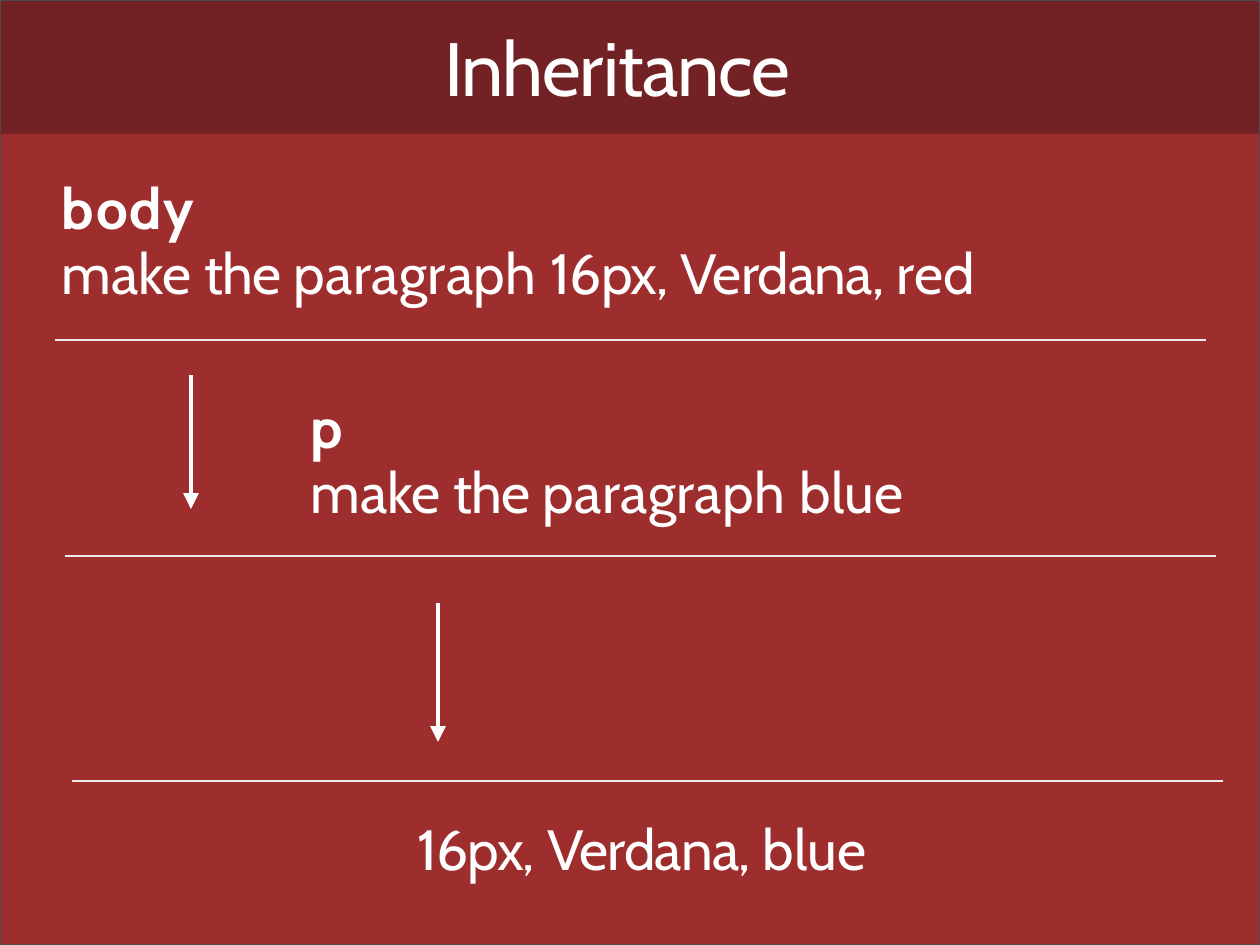
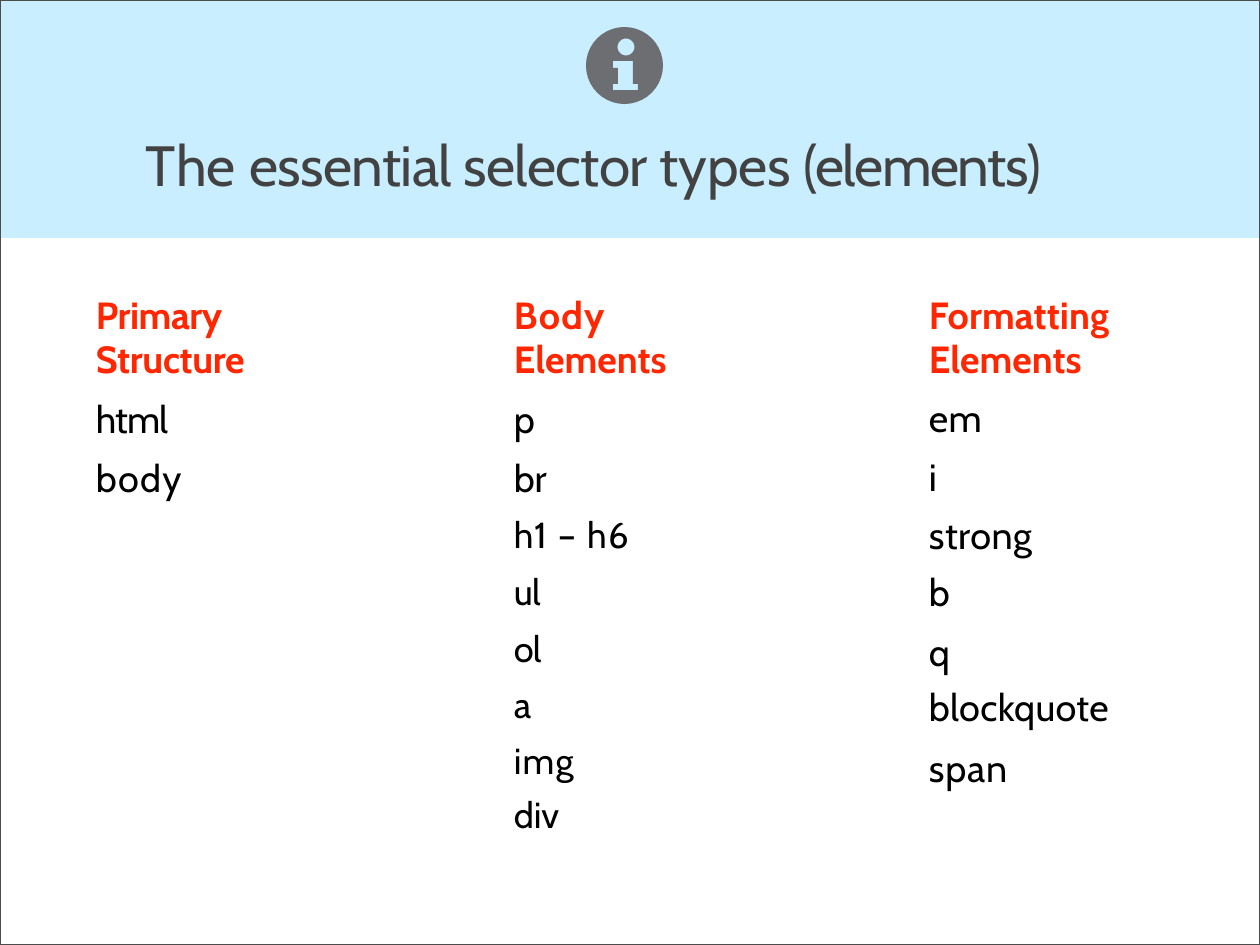
from dataclasses import dataclass
from math import cos, pi, sin

from lxml import etree
from pptx import Presentation
from pptx import util as u
from pptx.dml.color import RGBColor
from pptx.enum import shapes, text
from pptx.oxml import ns

PX = 8064  # EMU per px
WIDE, HIGH = 1260, 945
PLAIN = "{2D5ABB26-0587-4C30-8999-92F81FD0307C}"  # table style without grid


@dataclass(frozen=True)
class Theme:
    font: str = "Cabin"
    white: str = "FFFFFF"
    black: str = "000000"
    red: str = "9E2E2E"
    wine: str = "722224"
    sky: str = "76D6FF"
    slate: str = "424242"
    icon: str = "6D6E71"
    rule: str = "EBEBEB"
    frame: str = "4C4C4C"
    head: str = "FF2600"
    huge: int = 48
    large: int = 36
    cell: int = 24
    small: int = 23


THEME = Theme()


@dataclass(frozen=True)
class Item:
    """One table cell: top pad in px, letter spacing in points."""
    text: str
    pad: int = 7
    spc: float = 0
    size: int = THEME.cell


def px(*vals):
    return [u.Emu(round(v * PX)) for v in vals]


def put(obj, **vals):
    for name, val in vals.items():
        setattr(obj, name, val)


def ring(x, y, r, count=40):
    """Points of a circle."""
    turns = [2 * pi * i / count for i in range(count)]
    return [(x + r * cos(t), y + r * sin(t)) for t in turns]


class Deck:
    def __init__(self, theme):
        self.theme = theme
        self.prs = Presentation()
        wide, high = px(WIDE, HIGH)
        put(self.prs, slide_width=wide, slide_height=high)

    def start(self):
        self.slide = self.prs.slides.add_slide(self.prs.slide_layouts[5])
        self.shapes = self.slide.shapes

    def paint(self, shape, fill=None, line=None):
        shape.shadow.inherit = False
        for part, color in ((shape.fill, fill), (shape.line.fill, line)):
            if color:
                part.solid()
                part.fore_color.rgb = RGBColor.from_string(color)
            else:
                part.background()
        if line:
            shape.line.width = u.Pt(1)

    def rect(self, x, y, w, h, fill=None, line=None, alpha=None):
        box = self.shapes.add_shape(shapes.MSO_SHAPE.RECTANGLE, *px(x, y, w, h))
        self.paint(box, fill, line)
        if alpha:
            tone = box._element.spPr.find(".//" + ns.qn("a:srgbClr"))
            etree.SubElement(tone, ns.qn("a:alpha"), val=str(alpha * 1000))

    def frame(self):
        self.rect(0, 0, WIDE, HIGH, line=self.theme.frame)

    def fill(self, body, paras, color, size, lead=None, bold=False):
        """Fill a text frame with paragraphs of (text, spacing) runs.

        The first of several paragraphs is a bold heading.
        """
        for i, runs in enumerate(paras):
            para = body.paragraphs[0] if i == 0 else body.add_paragraph()
            para.alignment = text.PP_ALIGN.LEFT
            if lead:
                para.line_spacing = u.Pt(lead)
            for words, spc in runs:
                run = para.add_run()
                run.text = words
                put(run.font, name=self.theme.font, size=u.Pt(size),
                    bold=bold or (i == 0 and len(paras) > 1))
                run.font.color.rgb = RGBColor.from_string(color)
                run._r.get_or_add_rPr().set("spc", str(round(spc * 100)))

    def pour(self, box, paras, color, size, lead=None):
        body = box.text_frame
        put(body, margin_left=0, margin_top=0, margin_right=0, margin_bottom=0,
            word_wrap=True, auto_size=text.MSO_AUTO_SIZE.NONE,
            vertical_anchor=text.MSO_ANCHOR.TOP)
        self.fill(body, paras, color, size, lead)

    def label(self, x, y, w, h, paras, lead=None):
        box = self.shapes.add_textbox(*px(x, y, w, h))
        self.pour(box, paras, self.theme.white, self.theme.large, lead)

    def title(self, x, y, w, h, runs, color, size):
        box = self.shapes.title
        left, top, width, height = px(x, y, w, h)
        put(box, left=left, top=top, width=width, height=height)
        self.pour(box, [runs], color, size)
        self.shapes._spTree.append(box._element)  # above the band

    def line(self, x1, y1, x2, y2, color, width, arrow=False):
        link = self.shapes.add_connector(
            shapes.MSO_CONNECTOR.STRAIGHT, *px(x1, y1, x2, y2))
        link.line.color.rgb = RGBColor.from_string(color)
        link.line.width = u.Pt(width)
        props = link._element.spPr
        if arrow:
            etree.SubElement(props.find(ns.qn("a:ln")), ns.qn("a:tailEnd"),
                             type="triangle", w="lg", len="lg")
        etree.SubElement(props, ns.qn("a:effectLst"))

    def shape(self, rings, fill):
        """Draw closed outlines as one shape; inner ones are holes."""
        loops = [[(x * PX, y * PX) for x, y in pts] for pts in rings]
        pen = self.shapes.build_freeform(*loops[0][0])
        for i, pts in enumerate(loops):
            if i:
                pen.move_to(*pts[0])
            pen.add_line_segments(pts[1:], close=True)
        self.paint(pen.convert_to_shape(), fill)

    def table(self, x, y, wides, highs, indents, cols):
        box = self.shapes.add_table(
            len(highs), len(wides), *px(x, y, sum(wides), sum(highs)))
        grid = box.table
        put(grid, first_row=False, horz_banding=False)
        grid._tbl.tblPr.find(ns.qn("a:tableStyleId")).text = PLAIN
        for row, high in zip(grid.rows, px(*highs)):
            row.height = high
        for c, (wide, indent, items) in enumerate(zip(wides, indents, cols)):
            grid.columns[c].width = px(wide)[0]
            for r in range(len(highs)):
                cell = grid.cell(r, c)
                cell.fill.background()
                put(cell, margin_left=px(indent)[0], margin_top=0,
                    margin_right=0, margin_bottom=0)
                if r < len(items):
                    item, head = items[r], r < 2
                    cell.margin_top = px(item.pad)[0]
                    color = self.theme.head if head else self.theme.black
                    self.fill(cell.text_frame, [[(item.text, item.spc)]],
                              color, item.size, 27 if head else None, head)


def inherit(deck):
    t = deck.theme
    make = [("make ", 0), ("the ", -0.6), ("paragraph ", 0.3)]
    face = [("16px, ", -0.6), ("Verdana, ", -0.5)]
    blue = [("blue", 0.1)]
    deck.start()
    deck.rect(0, 134, WIDE, HIGH - 134, t.red)
    deck.rect(0, 0, WIDE, 134, t.wine)
    deck.title(444, 21, 378, 94, [("Inheritance", -0.7)], t.white, t.huge)
    for x, y in ((55, 340), (65, 556), (72, 781)):
        deck.line(x, y, x + 1151, y, t.rule, 1)
    for x, top, end in ((191, 375, 509), (438, 603, 742)):
        deck.line(x, top, x, end, t.white, 2, arrow=True)
    deck.label(62, 175, 1000, 131,
               [[("body", 1.1)], make + face + [("red", 0.1)]], 41.6)
    deck.label(311, 394, 750, 131, [[("p", 1.7)], make + blue], 41.6)
    deck.label(417, 814, 503, 71, [face + blue])
    deck.frame()


def select(deck):
    t = deck.theme
    low = t.small
    first = [Item("Primary", 0, -0.3), Item("Structure", 0, -0.2),
             Item("html", 7, -0.6), Item("body", 8, 0.8)]
    second = [Item("Body", 0, 0.8), Item("Elements", 0),
              Item("p"), Item("br", 8, -0.1), Item("h1 – h6", 8, 0.9, low),
              Item("ul", 7, -0.6, low), Item("ol", 7, -0.6, low),
              Item("a", 6, 0, low), Item("img", 5, 0.7, low),
              Item("div", 2, -0.1, low)]
    third = [Item("Formatting", 0, 0.1), Item("Elements", 0),
             Item("em", 6, 0.3), Item("i"), Item("strong", 7, 0.3),
             Item("b", 6), Item("q", 9), Item("blockquote", 7, 0.2),
             Item("span", 11, 0.5)]
    stem = [(613, 61), (633, 61), (633, 84), (638, 84), (638, 90),
            (613, 90), (613, 84), (618, 84), (618, 68), (613, 68)]
    deck.start()
    deck.rect(0, 0, WIDE, 238, t.sky, alpha=40)
    deck.title(146, 130, 972, 71,
               [("The ", 0.1), ("essential selector ", -0.4),
                ("types ", -0.1), ("(elements)", -0.9)], t.slate, t.large)
    deck.table(92, 296, [295, 416, 328], [44, 50] + [58] * 3 + [57] * 4 + [46],
               [4, 127, 126], [first, second, third])
    deck.shape([ring(624.5, 65.5, 38.5), ring(626, 47, 8.5), stem], t.icon)
    deck.frame()


def main():
    deck = Deck(THEME)
    inherit(deck)
    select(deck)
    deck.prs.save("out.pptx")


if __name__ == "__main__":
    main()
